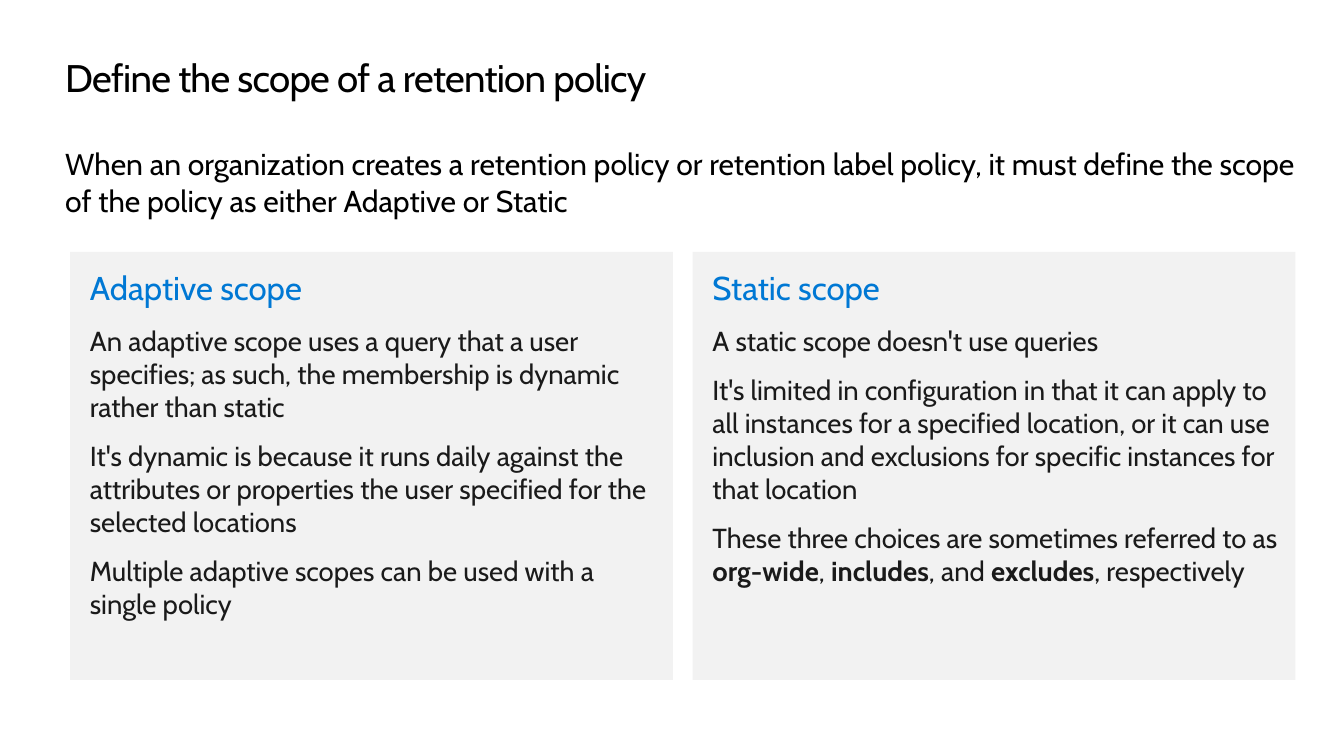
from dataclasses import dataclass

from pptx import Presentation
from pptx.dml.color import RGBColor
from pptx.enum.shapes import MSO_SHAPE
from pptx.enum.text import MSO_ANCHOR, MSO_AUTO_SIZE, PP_ALIGN
from pptx.shapes.autoshape import Shape
from pptx.slide import Slide
from pptx.util import Pt


@dataclass(frozen=True)
class Theme:
    font: str = "Cabin"
    black: str = "000000"
    ink: str = "1A1A1A"
    accent: str = "0078D4"
    panel: str = "F2F2F2"
    title_size: float = 28
    intro_size: float = 22
    heading_size: float = 24
    body_size: float = 20


@dataclass(frozen=True)
class Area:
    left: float
    top: float
    width: float
    height: float

    def lengths(self) -> tuple[Pt, Pt, Pt, Pt]:
        return Pt(self.left), Pt(self.top), Pt(self.width), Pt(self.height)


@dataclass(frozen=True)
class Span:
    text: str
    bold: bool = False


@dataclass(frozen=True)
class Para:
    spans: tuple[Span, ...]
    size: float
    color: str
    space_before: float = 0
    tracking: float = 0


@dataclass(frozen=True)
class Panel:
    heading: str
    points: tuple[tuple[Span, ...], ...]


THEME = Theme()
TITLE_AREA = Area(47.52, 39.6, 884.88, 34.56)
INTRO_AREA = Area(47.52, 105.84, 896.4, 53.28)
FIRST_PANEL_AREA = Area(51.12, 183.6, 439.2, 311.76)
PANEL_GAP = 14.4

TITLE = Para((Span("Define the scope of a retention policy"),),
             THEME.title_size, THEME.black, tracking=-0.5)
INTRO = Para((Span("When an organization creates a retention policy or retention label policy, "
                   "it must define the scope of the policy as either Adaptive or Static"),),
             THEME.intro_size, THEME.black)
PANELS = (
    Panel("Adaptive scope", (
        (Span("An adaptive scope uses a query that a user specifies; as such, "
              "the membership is dynamic rather than static"),),
        (Span("It's dynamic is because it runs daily against the attributes or properties "
              "the user specified for the selected locations"),),
        (Span("Multiple adaptive scopes can be used with a single policy"),),
    )),
    Panel("Static scope", (
        (Span("A static scope doesn't use queries"),),
        (Span("It's limited in configuration in that it can apply to all instances for a "
              "specified location, or it can use inclusion and exclusions for specific "
              "instances for that location"),),
        (Span("These three choices are sometimes referred to as "), Span("org-wide", True),
         Span(", "), Span("includes", True), Span(", and "), Span("excludes", True),
         Span(", respectively")),
    )),
)


def write_text(box: Shape, paras: list[Para], anchor: MSO_ANCHOR, auto_size: MSO_AUTO_SIZE,
               margins: tuple[float, float, float, float] = (0, 0, 0, 0)) -> None:
    frame = box.text_frame
    left, top, right, bottom = map(Pt, margins)
    frame_format = {"word_wrap": True, "vertical_anchor": anchor, "auto_size": auto_size,
                    "margin_left": left, "margin_top": top,
                    "margin_right": right, "margin_bottom": bottom}
    for name, value in frame_format.items():
        setattr(frame, name, value)
    for index, para in enumerate(paras):
        paragraph = frame.add_paragraph() if index else frame.paragraphs[0]
        paragraph.alignment = PP_ALIGN.LEFT
        paragraph.space_before = Pt(para.space_before)
        for span in para.spans:
            run = paragraph.add_run()
            run.text = span.text
            font_format = {"name": THEME.font, "size": Pt(para.size), "bold": span.bold}
            for name, value in font_format.items():
                setattr(run.font, name, value)
            run.font.color.rgb = RGBColor.from_string(para.color)
            if para.tracking:
                run._r.get_or_add_rPr().set("spc", str(round(para.tracking * 100)))


def add_text(page: Slide, area: Area, para: Para, anchor: MSO_ANCHOR) -> None:
    box = page.shapes.add_textbox(*area.lengths())
    write_text(box, [para], anchor, MSO_AUTO_SIZE.SHAPE_TO_FIT_TEXT)


def add_panel(page: Slide, area: Area, panel: Panel) -> None:
    box = page.shapes.add_shape(MSO_SHAPE.RECTANGLE, *area.lengths())
    box.shadow.inherit = False
    box.fill.solid()
    box.fill.fore_color.rgb = RGBColor.from_string(THEME.panel)
    box.line.fill.background()
    heading = Para((Span(panel.heading),), THEME.heading_size, THEME.accent, 18)
    points = [Para(spans, THEME.body_size, THEME.ink, 12) for spans in panel.points]
    write_text(box, [heading, *points], MSO_ANCHOR.TOP, MSO_AUTO_SIZE.NONE,
               (14.4, 11.52, 7.2, 11.52))


def main() -> None:
    deck = Presentation()
    deck.slide_width, deck.slide_height = Pt(979.2), Pt(550.8)
    page = deck.slides.add_slide(deck.slide_layouts[6])
    add_text(page, TITLE_AREA, TITLE, MSO_ANCHOR.TOP)
    add_text(page, INTRO_AREA, INTRO, MSO_ANCHOR.MIDDLE)
    first = FIRST_PANEL_AREA
    for column, panel in enumerate(PANELS):
        left = first.left + column * (first.width + PANEL_GAP)
        add_panel(page, Area(left, first.top, first.width, first.height), panel)
    deck.save("out.pptx")


if __name__ == "__main__":
    main()
